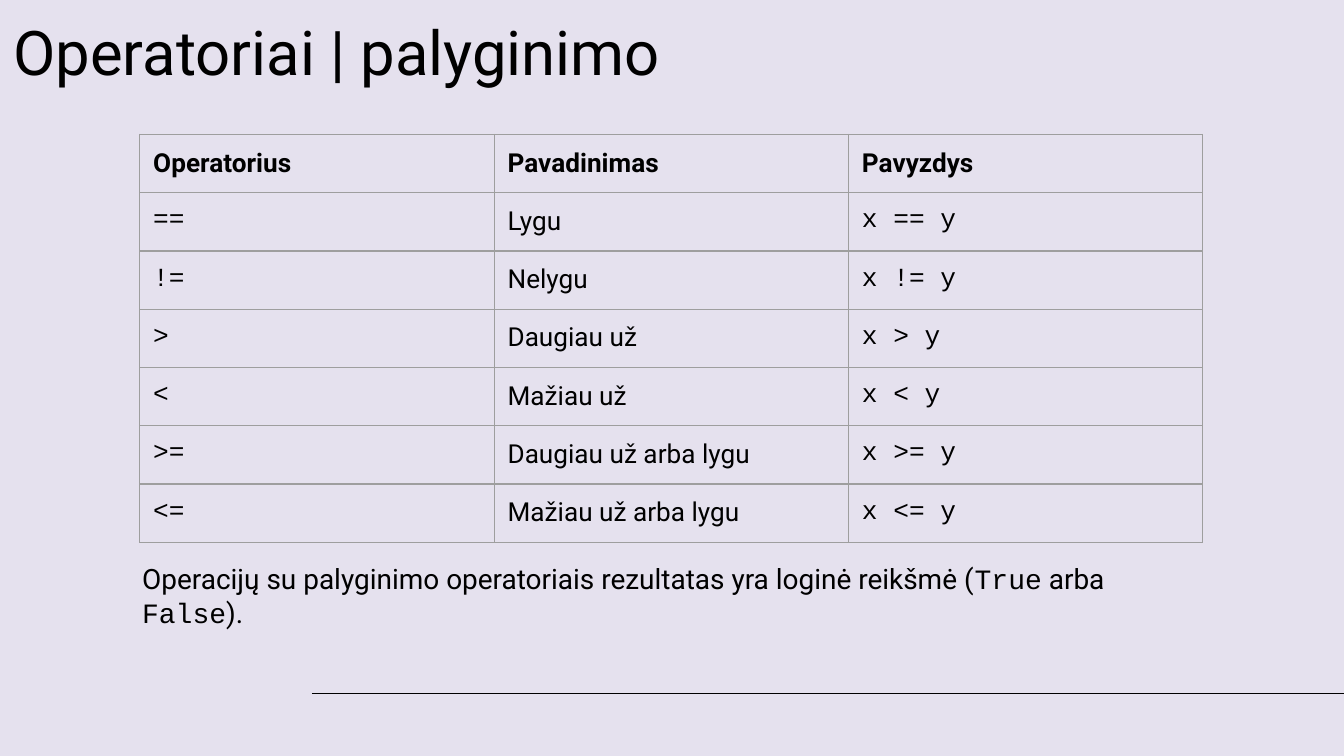
"""Build a slide on comparison operators."""
from typing import NamedTuple

from lxml import etree
from pptx import Presentation
from pptx import util as u
from pptx.dml.color import RGBColor
from pptx.enum import shapes, text
from pptx.oxml.ns import qn

SCALE = 4572
SANS, MONO = "Roboto", "Courier New"
INK, GREY, PAPER = "000000", "9E9E9E", "E5E1EE"


class Box(NamedTuple):
    """Hold a place and size in px."""
    left: int
    top: int
    width: int
    height: int


class Op(NamedTuple):
    """Hold one operator and its name."""
    sign: str
    name: str


class Run(NamedTuple):
    """Hold a piece of text and its look."""
    words: str
    face: str = SANS
    bold: bool = False


OPS = [
    Op("==", "Lygu"),
    Op("!=", "Nelygu"),
    Op(">", "Daugiau už"),
    Op("<", "Mažiau už"),
    Op(">=", "Daugiau už arba lygu"),
    Op("<=", "Mažiau už arba lygu"),
]
HEADS = ["Operatorius", "Pavadinimas", "Pavyzdys"]
NOTE = [
    Run("Operacijų su palyginimo operatoriais rezultatas yra loginė reikšmė ("),
    Run("True", MONO),
    Run(" arba "),
    Run("False", MONO),
    Run(")."),
]


def px(n: int) -> u.Emu:
    """Turn px into EMU."""
    return u.Emu(n * SCALE)


def tint(code: str) -> RGBColor:
    """Turn a hex string into a colour."""
    return RGBColor.from_string(code)


def put(obj, looks: dict) -> None:
    """Set each named value on an object."""
    for key, value in looks.items():
        setattr(obj, key, value)


def pad(obj) -> None:
    """Set equal margins and top anchor."""
    put(obj, {"margin_" + side: px(20) for side in ("left", "top", "right", "bottom")})
    obj.vertical_anchor = text.MSO_ANCHOR.TOP


def fill(frame, runs: list[Run], size: int) -> None:
    """Write runs into the first paragraph."""
    para = frame.paragraphs[0]
    para.alignment = text.PP_ALIGN.LEFT
    for item in runs:
        run = para.add_run()
        run.text = item.words
        put(run.font, {"name": item.face, "size": u.Pt(size), "bold": item.bold})
        run.font.color.rgb = tint(INK)


def write(shape, box: Box, runs: list[Run], size: int) -> None:
    """Place a text shape and write its runs."""
    put(shape, {key: px(n) for key, n in box._asdict().items()})
    frame = shape.text_frame
    put(frame, {"word_wrap": True, "auto_size": text.MSO_AUTO_SIZE.NONE})
    pad(frame)
    fill(frame, runs, size)


def edge(cell) -> None:
    """Draw the four borders of a cell."""
    props = cell._tc.get_or_add_tcPr()
    for spot, side in enumerate(("lnL", "lnR", "lnT", "lnB")):
        line = etree.Element(qn("a:" + side), w=str(u.Pt(0.75)))
        solid = etree.SubElement(line, qn("a:solidFill"))
        etree.SubElement(solid, qn("a:srgbClr"), val=GREY)
        props.insert(spot, line)


def grid(slide, box: Box, rows: list[list[Run]]) -> None:
    """Draw the table of operators."""
    frame = slide.shapes.add_table(len(rows), len(rows[0]), *map(px, box))
    table = frame.table
    put(table, {"first_row": False, "horz_banding": False})
    for r, row in enumerate(rows):
        for c, run in enumerate(row):
            cell = table.cell(r, c)
            cell.fill.background()
            pad(cell)
            edge(cell)
            fill(cell.text_frame, [run], 14)


def rule(slide, left: int, right: int, top: int) -> None:
    """Draw a level line."""
    line = slide.shapes.add_connector(
        shapes.MSO_CONNECTOR.STRAIGHT, px(left), px(top), px(right), px(top))
    line.line.color.rgb = tint(INK)
    line.line.width = u.Pt(0.75)
    etree.SubElement(line._element.spPr, qn("a:effectLst"))


def main() -> None:
    """Build and save the slide."""
    deck = Presentation()
    put(deck, {"slide_width": px(2000), "slide_height": px(1125)})
    slide = deck.slides.add_slide(deck.slide_layouts.get_by_name("Title Only"))
    back = slide.background.fill
    back.solid()
    back.fore_color.rgb = tint(PAPER)
    rule(slide, 464, 2000, 1032)
    write(slide.shapes.title, Box(0, 0, 1178, 152), [Run("Operatoriai | palyginimo")], 33)
    rows = [[Run(head, bold=True) for head in HEADS]]
    rows += [[Run(op.sign, MONO), Run(op.name), Run(f"x {op.sign} y", MONO)] for op in OPS]
    grid(slide, Box(208, 200, 1582, 607), rows)
    spot = Box(192, 816, 1628, 116)
    write(slide.shapes.add_textbox(*map(px, spot)), spot, NOTE, 15)
    deck.save("out.pptx")


if __name__ == "__main__":
    main()
